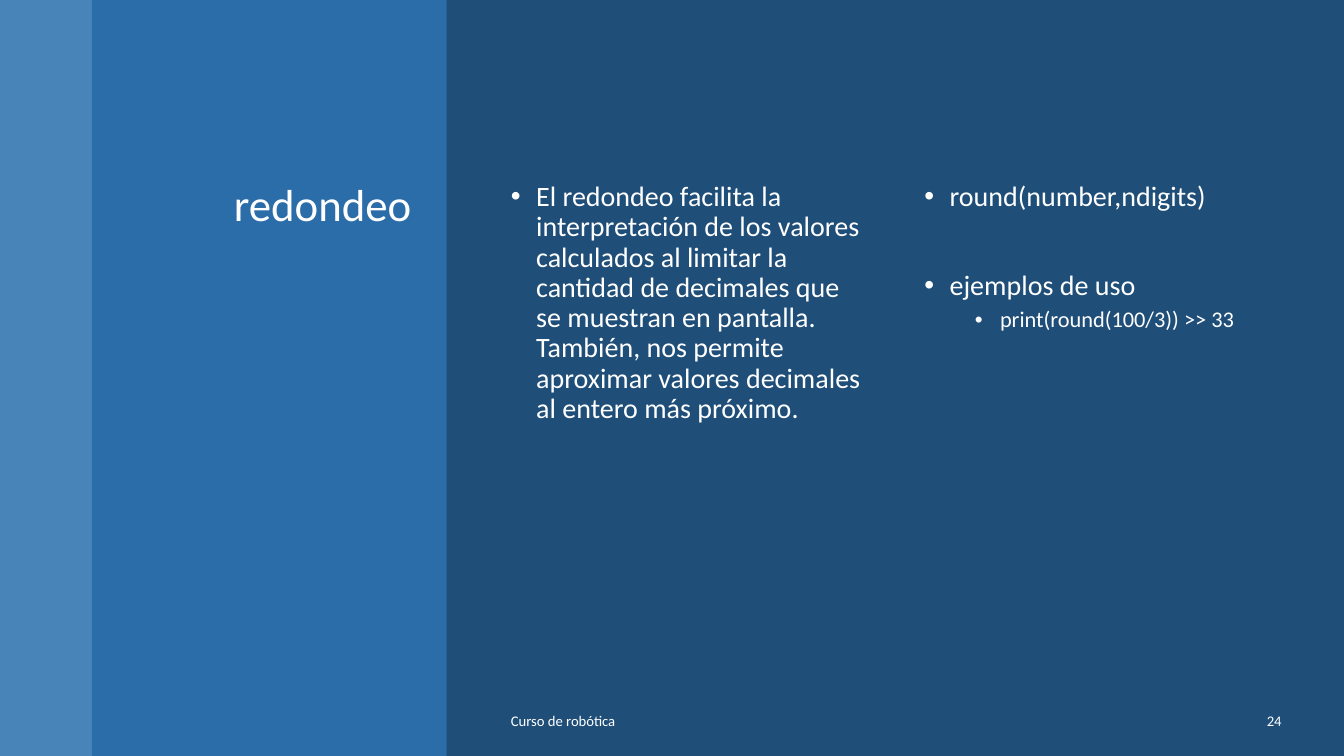
from dataclasses import dataclass
from typing import NamedTuple

from lxml.etree import SubElement
from pptx import Presentation
from pptx.dml.color import RGBColor
from pptx.enum.shapes import MSO_SHAPE as Preset
from pptx.enum.text import MSO_ANCHOR as Anchor, PP_ALIGN as Align
from pptx.oxml.ns import qn
from pptx.slide import Slide
from pptx.util import Inches, Pt

WIDTH, HEIGHT = Inches(13.33), Inches(7.5)
FONT, WHITE, NAVY = "Calibri", "FFFFFF", "1F4E79"
INDENT = 0.25


class Box(NamedTuple):
    left: float
    top: float
    width: float
    height: float

    def lengths(self) -> list[int]:
        sides = (WIDTH, HEIGHT, WIDTH, HEIGHT)
        return [round(side * share / 100) for side, share in zip(sides, self)]


@dataclass
class Band:
    box: Box
    color: str
    opacity: int


@dataclass
class Line:
    text: str
    size: float
    before: float = 0
    after: float = 0
    spacing: float = 1.0
    align: Align = Align.LEFT
    margin: float = 0


@dataclass
class TextBlock:
    box: Box
    lines: list[Line]
    anchor: Anchor = Anchor.TOP


def rgb(color: str) -> RGBColor:
    return RGBColor.from_string(color)


def apply(target: object, values: dict[str, object]) -> None:
    for name, value in values.items():
        setattr(target, name, value)


def draw_band(slide: Slide, band: Band) -> None:
    shape = slide.shapes.add_shape(Preset.RECTANGLE, *band.box.lengths())
    shape.shadow.inherit = False
    shape.line.fill.background()
    shape.fill.solid()
    shape.fill.fore_color.rgb = rgb(band.color)
    color = next(shape.fill._xPr.iter(qn("a:srgbClr")))
    SubElement(color, qn("a:alpha"), val=str(band.opacity * 1000))


def add_bullet(paragraph: object, margin: float) -> None:
    properties = paragraph._p.get_or_add_pPr()
    properties.set("marL", str(Inches(margin)))
    properties.set("indent", str(-Inches(INDENT)))
    SubElement(properties, qn("a:buFont"), typeface="Arial")
    SubElement(properties, qn("a:buChar"), char="•")


def draw_text(slide: Slide, block: TextBlock) -> None:
    frame = slide.shapes.add_textbox(*block.box.lengths()).text_frame
    apply(frame, {"word_wrap": True, "vertical_anchor": block.anchor})
    for index, line in enumerate(block.lines):
        paragraph = frame.add_paragraph() if index else frame.paragraphs[0]
        apply(paragraph, {
            "alignment": line.align,
            "line_spacing": line.spacing,
            "space_before": Pt(line.before),
            "space_after": Pt(line.after),
        })
        if line.margin:
            add_bullet(paragraph, line.margin)
        run = paragraph.add_run()
        run.text = line.text
        apply(run.font, {"name": FONT, "size": Pt(line.size)})
        run.font.color.rgb = rgb(WHITE)


def bullet(text: str, size: float = 20, before: float = 10, level: int = 0) -> Line:
    return Line(text, size, before, spacing=0.9, margin=INDENT * (1 + 2 * level))


def footer(text: str, align: Align = Align.LEFT) -> Line:
    return Line(text, 10.5, after=6, align=align)


EDGE, PANEL = 6.83, 26.41
TOP, DEPTH = 23.47, 65.6
FOOT, FOOT_DEPTH = 92.67, 5.33
LEFT, COLUMN, GAP = 37.28, 28.06, 2.7
RIGHT = LEFT + 2 * COLUMN + GAP
NUMBER = 11.18

BANDS = [
    Band(Box(0, 0, EDGE, 100), "5B9BD5", 70),
    Band(Box(EDGE, 0, PANEL, 100), "2E75B6", 80),
]
BLOCKS = [
    TextBlock(Box(8.18, TOP, 23.18, DEPTH),
              [Line("redondeo", 32, spacing=0.9, align=Align.RIGHT)]),
    TextBlock(Box(LEFT, TOP, COLUMN, DEPTH), [
        bullet("El redondeo facilita la interpretación de los valores calculados "
               "al limitar la cantidad de decimales que se muestran en pantalla. "
               "También, nos permite aproximar valores decimales al entero más "
               "próximo."),
    ]),
    TextBlock(Box(LEFT + COLUMN + GAP, TOP, COLUMN, DEPTH), [
        bullet("round(number,ndigits)"),
        bullet("ejemplos de uso", before=42),
        bullet("print(round(100/3)) >> 33", size=16, before=5, level=1),
    ]),
    TextBlock(Box(LEFT, FOOT, 46.66, FOOT_DEPTH),
              [footer("Curso de robótica")], Anchor.MIDDLE),
    TextBlock(Box(RIGHT - NUMBER, FOOT, NUMBER, FOOT_DEPTH),
              [footer("24", Align.RIGHT)], Anchor.MIDDLE),
]


def main() -> None:
    presentation = Presentation()
    apply(presentation, {"slide_width": WIDTH, "slide_height": HEIGHT})
    slide = presentation.slides.add_slide(presentation.slide_layouts[6])
    background = slide.background.fill
    background.solid()
    background.fore_color.rgb = rgb(NAVY)
    for band in BANDS:
        draw_band(slide, band)
    for block in BLOCKS:
        draw_text(slide, block)
    presentation.save("out.pptx")


main()
